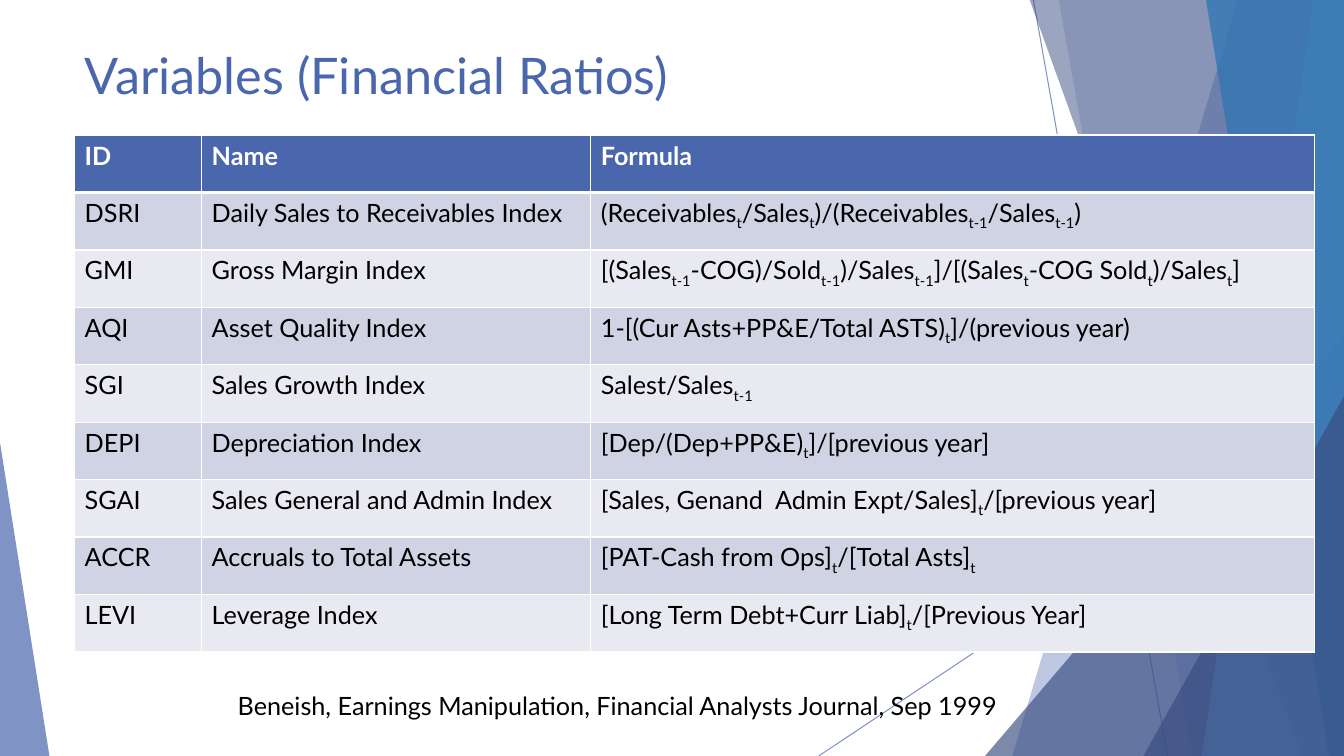
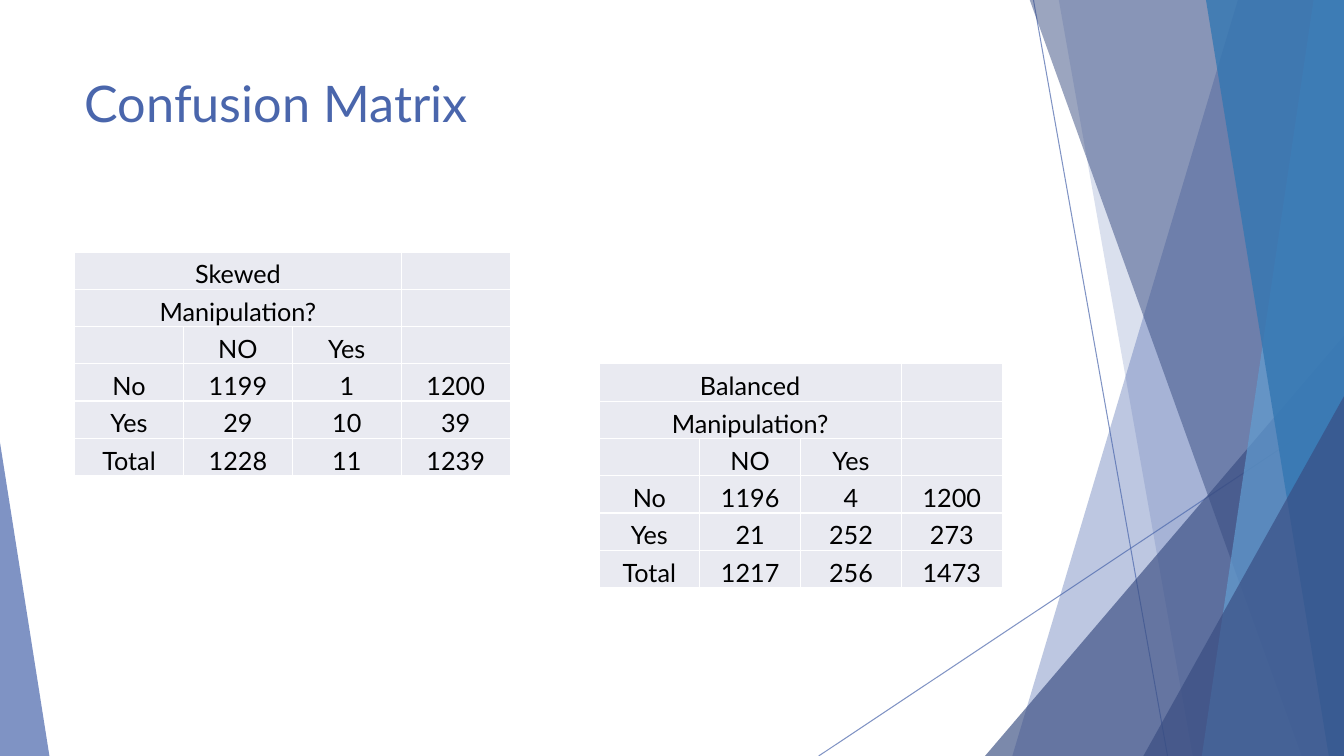
from lxml import etree
from pptx import Presentation
from pptx.dml.color import RGBColor
from pptx.enum.shapes import MSO_CONNECTOR, MSO_SHAPE
from pptx.enum.text import MSO_ANCHOR, PP_ALIGN
from pptx.oxml.ns import qn
from pptx.util import Emu, Pt

STRAIGHT = MSO_CONNECTOR.STRAIGHT
TRIANGLE = MSO_SHAPE.ISOSCELES_TRIANGLE
LEFT, CENTER = PP_ALIGN.LEFT, PP_ALIGN.CENTER
TOP, BOTTOM = MSO_ANCHOR.TOP, MSO_ANCHOR.BOTTOM

# Shared style: 100 px to the inch
EMU_PER_PX = 9144
WIDTH, HEIGHT = 1333, 750
TITLE_ONLY = 5
FONT = "Lato"
BLUE, NAVY, SKY, OCEAN = "4A66AC", "384C81", "629DD1", "3477B2"
WHITE, BLACK = "FFFFFF", "000000"
DARK_BAND, LIGHT_BAND = "D0D3E3", "E9EAF1"

# Background facets: (top x, bottom x, colour, opacity %), reaching the right edge
BANDS_BEHIND = [(1228, 1004, BLUE, 36), (1050, 1183, BLUE, 20)]
BANDS_FRONT = [(1021, 1291, NAVY, 50), (1303, 1192, SKY, 70), (1196, 1318, OCEAN, 80)]


def px(length):
    return Emu(round(length * EMU_PER_PX))


def rgb(color):
    return RGBColor.from_string(color)


def set_opacity(shape, percent):
    for color in shape.element.spPr.iter(qn("a:srgbClr")):
        etree.SubElement(color, qn("a:alpha"), val=str(percent * 1000))


class Deck:
    def __init__(self):
        self.presentation = Presentation()
        self.presentation.slide_width = px(WIDTH)
        self.presentation.slide_height = px(HEIGHT)
        self.slide = None

    def add_slide(self, title, top):
        layout = self.presentation.slide_layouts[TITLE_ONLY]
        self.slide = self.presentation.slides.add_slide(layout)
        self.background()
        self.title(title, top)

    # Background
    def background(self):
        self.line(1025, 0, 1158, HEIGHT)
        self.line(WIDTH, 403, 812, HEIGHT)
        for band in BANDS_BEHIND:
            self.band(*band)
        self.triangle(977, 333, 356, NAVY, 66, 1)
        for band in BANDS_FRONT:
            self.band(*band)
        self.triangle(1134, 393, 199, NAVY, 66, 1)
        self.triangle(0, 439, 49, BLUE, 70, 0)

    def line(self, x1, y1, x2, y2):
        connector = self.slide.shapes.add_connector(
            STRAIGHT, px(x1), px(y1), px(x2), px(y2))
        connector.line.color.rgb = rgb(BLUE)
        connector.line.width = Pt(0.75)
        set_opacity(connector, 70)
        etree.SubElement(connector.element.spPr, qn("a:effectLst"))

    def paint(self, shape, color, opacity):
        shape.shadow.inherit = False
        shape.fill.solid()
        shape.fill.fore_color.rgb = rgb(color)
        shape.line.fill.background()
        set_opacity(shape, opacity)

    def band(self, top_x, bottom_x, color, opacity):
        builder = self.slide.shapes.build_freeform(top_x, -1, scale=EMU_PER_PX)
        builder.add_line_segments([(WIDTH, -1), (WIDTH, HEIGHT), (bottom_x, HEIGHT)])
        self.paint(builder.convert_to_shape(), color, opacity)

    def triangle(self, left, top, width, color, opacity, apex):
        shape = self.slide.shapes.add_shape(
            TRIANGLE, px(left), px(top), px(width), px(HEIGHT - top))
        shape.adjustments[0] = apex
        self.paint(shape, color, opacity)

    # Text
    def fill_paragraph(self, paragraph, text, size=18, color=BLACK, bold=False, align=LEFT):
        """Set styled text; parts between tildes become subscripts."""
        paragraph.alignment = align
        font = paragraph.font
        font.name, font.size, font.bold = FONT, Pt(size), bold
        font.color.rgb = rgb(color)
        for index, part in enumerate(text.split("~")):
            if part:
                run = paragraph.add_run()
                run.text = part
                if index % 2:
                    run.font._element.set("baseline", "-25000")

    def title(self, text, top):
        shape = self.slide.shapes.title
        shape.left, shape.top, shape.width, shape.height = map(px, (74, top, 940, 144))
        shape.text_frame.vertical_anchor = TOP
        self.fill_paragraph(shape.text_frame.paragraphs[0], text, 36, BLUE)

    def text(self, text, left, top, width, height):
        box = self.slide.shapes.add_textbox(px(left), px(top), px(width), px(height))
        box.text_frame.word_wrap = True
        self.fill_paragraph(box.text_frame.paragraphs[0], text)

    # Tables
    def table(self, rows, left, top, columns, row_height):
        frame = self.slide.shapes.add_table(
            len(rows), len(columns), px(left), px(top),
            px(sum(columns)), px(row_height * len(rows)))
        table = frame.table
        for column, width in zip(table.columns, columns):
            column.width = px(width)
        for row in table.rows:
            row.height = px(row_height)
        return table

    def cell(self, cell, text, fill, edges, color=BLACK, bold=False, align=LEFT):
        properties = cell._tc.get_or_add_tcPr()
        for side, width in edges.items():
            edge = etree.SubElement(properties, qn("a:ln" + side), w=str(int(Pt(width))))
            solid = etree.SubElement(edge, qn("a:solidFill"))
            etree.SubElement(solid, qn("a:srgbClr"), val=WHITE)
        cell.fill.solid()
        cell.fill.fore_color.rgb = rgb(fill)
        self.fill_paragraph(cell.text_frame.paragraphs[0], text, 18, color, bold, align)

    def banded_table(self, rows, left, top, columns, row_height):
        table = self.table(rows, left, top, columns, row_height)
        for r, row in enumerate(rows):
            header = r == 0
            fill = BLUE if header else DARK_BAND if r % 2 else LIGHT_BAND
            edges = {"L": 1, "R": 1, "T": 3 if r == 1 else 1, "B": 3 if header else 1}
            for c, text in enumerate(row):
                self.cell(table.cell(r, c), text, fill, edges,
                          WHITE if header else BLACK, header)

    def confusion_matrix(self, name, counts, left, top, column_width):
        rows = [(name, "", "", ""), ("Manipulation?", "", "", ""),
                ("", "NO", "Yes", "")]
        rows += [(label, *values) for label, values in zip(("No", "Yes", "Total"), counts)]
        table = self.table(rows, left, top, [column_width] * 4, 37)
        table.first_row = table.horz_banding = False
        for r, row in enumerate(rows):
            for c, text in enumerate(row):
                cell = table.cell(r, c)
                cell.margin_left = cell.margin_right = cell.margin_top = px(1)
                cell.margin_bottom = px(0)
                cell.vertical_anchor = BOTTOM
                self.cell(cell, text, LIGHT_BAND, dict.fromkeys("LRTB", 1), align=CENTER)
        for r in range(2):
            table.cell(r, 0).merge(table.cell(r, 2))


RATIOS = [
    ("ID", "Name", "Formula"),
    ("DSRI", "Daily Sales to Receivables Index",
     "(Receivables~t~/Sales~t~)/(Receivables~t-1~/Sales~t-1~)"),
    ("GMI", "Gross Margin Index",
     "[(Sales~t-1~-COG)/Sold~t-1~)/Sales~t-1~]/[(Sales~t~-COG Sold~t~)/Sales~t~]"),
    ("AQI", "Asset Quality Index",
     "1-[(Cur Asts+PP&E/Total ASTS)~t~]/(previous year)"),
    ("SGI", "Sales Growth Index", "Salest/Sales~t-1~"),
    ("DEPI", "Depreciation Index", "[Dep/(Dep+PP&E)~t~]/[previous year]"),
    ("SGAI", "Sales General and Admin Index",
     "[Sales, Genand  Admin Expt/Sales]~t~/[previous year]"),
    ("ACCR", "Accruals to Total Assets", "[PAT-Cash from Ops]~t~/[Total Asts]~t~"),
    ("LEVI", "Leverage Index", "[Long Term Debt+Curr Liab]~t~/[Previous Year]"),
]
SKEWED = [("1199", "1", "1200"), ("29", "10", "39"), ("1228", "11", "1239")]
BALANCED = [("1196", "4", "1200"), ("21", "252", "273"), ("1217", "256", "1473")]


def main():
    deck = Deck()

    # Financial ratios
    deck.add_slide("Variables (Financial Ratios)", 39)
    deck.banded_table(RATIOS, 74, 134, [126, 386, 718], 57)
    deck.text("Beneish, Earnings Manipulation, Financial Analysts Journal, Sep 1999",
              226, 680, 823, 40)

    # Confusion matrices
    deck.add_slide("Confusion Matrix", 67)
    deck.confusion_matrix("Skewed", SKEWED, 74, 250, 108)
    deck.confusion_matrix("Balanced", BALANCED, 594, 361, 100)

    deck.presentation.save("out.pptx")


if __name__ == "__main__":
    main()
